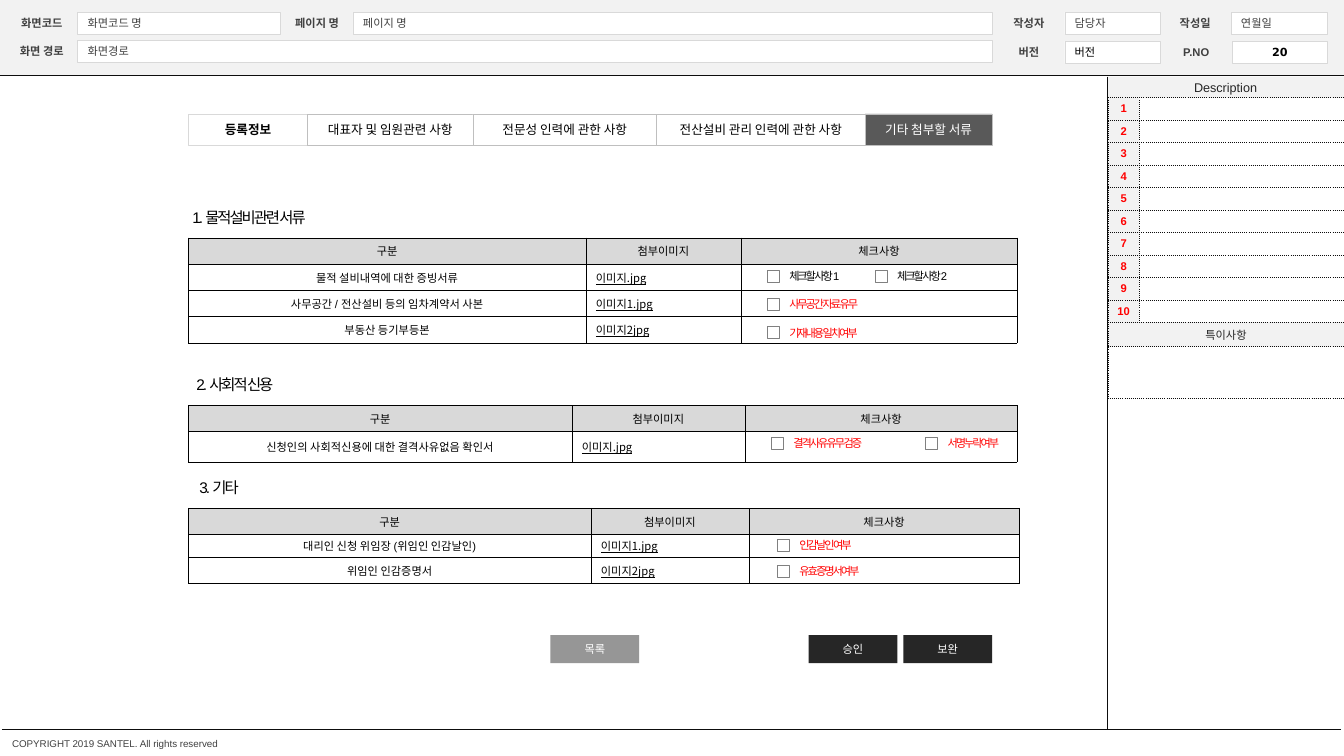
from itertools import accumulate

from lxml.etree import SubElement
from pptx import Presentation
from pptx.dml.color import RGBColor
from pptx.enum.dml import MSO_LINE
from pptx.enum.shapes import MSO_CONNECTOR, MSO_SHAPE
from pptx.enum.text import MSO_ANCHOR, PP_ALIGN
from pptx.oxml.ns import qn
from pptx.util import Inches, Pt

COLORS = {
    "black": "000000", "rule": "0D0D0D", "ink": "262626", "label": "404040",
    "tab": "595959", "check": "808080", "button": "969696", "edge": "BFBFBF",
    "field": "D9D9D9", "band": "F2F2F2", "white": "FFFFFF", "red": "FF0000",
}
LATIN, KOREAN, NUMBER = "Arial", "Noto Sans CJK KR", "DejaVu Sans"
LEFT, CENTER = PP_ALIGN.LEFT, PP_ALIGN.CENTER


def rgb(name):
    """Return the named colour."""
    return RGBColor.from_string(COLORS[name])


def write(frame, text, size=8, color="black", font=LATIN, align=CENTER,
          bold=False, underline=False, spacing=None):
    """Set one line of text in a frame and format its run."""
    frame.text = text
    paragraph = frame.paragraphs[0]
    paragraph.alignment = align
    run = paragraph.runs[0]
    run.font.size, run.font.name, run.font.bold = Pt(size), font, bold
    run.font.color.rgb = rgb(color)
    if underline:
        run.font.underline = True
    if spacing:
        run._r.get_or_add_rPr().set("spc", str(int(spacing * 100)))


def dress(shape, fill=None, edge=None, width=0.25):
    """Give a shape its fill and outline."""
    if fill:
        shape.fill.solid()
        shape.fill.fore_color.rgb = rgb(fill)
    else:
        shape.fill.background()
    if edge:
        shape.line.color.rgb = rgb(edge)
        shape.line.width = Pt(width)
    else:
        shape.line.fill.background()


def inset(frame, side=0.1):
    """Centre a frame vertically with side margins only."""
    frame.word_wrap = True
    frame.vertical_anchor = MSO_ANCHOR.MIDDLE
    frame.margin_left = frame.margin_right = Inches(side)
    frame.margin_top = frame.margin_bottom = 0


def add_box(slide, box, fill=None, edge=None, width=0.25, text="", side=0.1, **style):
    """Add a rectangle with optional text."""
    shape = slide.shapes.add_shape(MSO_SHAPE.RECTANGLE, *map(Inches, box))
    shape.shadow.inherit = False
    dress(shape, fill, edge, width)
    inset(shape.text_frame, side)
    if text:
        write(shape.text_frame, text, **style)


def add_label(slide, box, text, side=0.1, **style):
    """Add a plain text box."""
    frame = slide.shapes.add_textbox(*map(Inches, box)).text_frame
    inset(frame, side)
    write(frame, text, **style)


def add_rule(slide, *ends):
    """Add a dotted rule between two points."""
    rule = slide.shapes.add_connector(MSO_CONNECTOR.STRAIGHT, *map(Inches, ends))
    rule.line.color.rgb = rgb("rule")
    rule.line.width = Pt(0.25)
    rule.line.dash_style = MSO_LINE.ROUND_DOT
    SubElement(rule._element.spPr, qn("a:effectLst"))


def add_grid(slide, left, top, columns, rows):
    """Add an unstyled table with the given column widths and row heights."""
    box = map(Inches, (left, top, sum(columns), sum(rows)))
    table = slide.shapes.add_table(len(rows), len(columns), *box).table
    table.first_row = table.horz_banding = False
    for column, width in zip(table.columns, columns):
        column.width = Inches(width)
    for row, height in zip(table.rows, rows):
        row.height = Inches(height)
    return table


def format_cell(cell, fill, edge, width, dash, text="", indent=0.02, **style):
    """Fill, frame and write one table cell."""
    properties = cell._tc.get_or_add_tcPr()
    for side in ("a:lnL", "a:lnR", "a:lnT", "a:lnB"):
        border = SubElement(properties, qn(side), w=str(Pt(width)))
        paint = SubElement(border, qn("a:solidFill"))
        SubElement(paint, qn("a:srgbClr"), val=COLORS[edge])
        SubElement(border, qn("a:prstDash"), val=dash)
    cell.fill.solid()
    cell.fill.fore_color.rgb = rgb(fill)
    cell.vertical_anchor = MSO_ANCHOR.MIDDLE
    cell.margin_left = Inches(indent)
    cell.margin_right = cell.margin_top = cell.margin_bottom = Inches(0.02)
    if text:
        write(cell.text_frame, text, **style)
    else:
        SubElement(cell.text_frame.paragraphs[0]._p, qn("a:endParaRPr"), sz="800")


def add_header(slide, left, top, width, height):
    """Build the band with the screen's details, the page name being the title."""
    add_box(slide, (left, top, width, height), "band")
    fields = [
        (0.77, 0.12, 2.01, "화면코드", "화면코드 명"),
        (0.77, 0.4, 9.07, "화면 경로", "화면경로"),
        (3.5, 0.12, 6.34, "페이지 명", None),
        (10.56, 0.12, 0.95, "작성자", "담당자"),
        (12.21, 0.12, 0.95, "작성일", "연월일"),
        (10.56, 0.41, 0.95, "버전", "버전"),
        (12.22, 0.41, 0.95, "P.NO", "20"),
    ]
    for x, y, field_width, label, value in fields:
        box = (left + x, top + y, field_width, 0.22)
        add_label(slide, (left + x - 0.71, top + y, 0.71, 0.22), label, side=0,
                  color="label", bold=True)
        if value is None:
            title = slide.shapes.title
            title.left, title.top, title.width, title.height = map(Inches, box)
            dress(title, "white", "field")
            inset(title.text_frame)
            write(title.text_frame, label, color="label", align=LEFT)
            slide.shapes._spTree.append(title._element)
        elif value == "20":
            add_box(slide, box, "white", "field", 0.75, value, font=NUMBER, bold=True)
        else:
            color = "black" if value == "버전" else "label"
            add_box(slide, box, "white", "field", text=value, color=color, align=LEFT)
    add_rule(slide, left, top + height, left + width, top + height)


def add_description(slide, left, top, width, bottom):
    """Build the numbered description column."""
    add_box(slide, (left, top, width, 0.22), "band", text="Description", size=9, color="ink")
    add_rule(slide, left, top, left, bottom)
    add_rule(slide, left, top + 0.21, left + width, top + 0.21)
    heights = [0.223] * 10 + [0.24, 0.51]
    table = add_grid(slide, left + 0.01, top + 0.21, [0.31, width - 0.32], heights)
    frame = dict(edge="rule", width=0.5, dash="sysDot")
    for number in range(10):
        format_cell(table.cell(number, 0), "band", text=str(number + 1),
                    color="red", bold=True, **frame)
        format_cell(table.cell(number, 1), "white", **frame)
    for row, fill, text in ((10, "band", "특이사항"), (11, "white", "")):
        table.cell(row, 0).merge(table.cell(row, 1))
        format_cell(table.cell(row, 0), fill, text=text, color="ink", **frame)
        format_cell(table.cell(row, 1), fill, **frame)


def add_tabs(slide, left, top, height):
    """Build the row of tabs, the last one selected."""
    names = ["등록정보", "대표자 및 임원관련 사항", "전문성 인력에 관한 사항",
             "전산설비 관리 인력에 관한 사항", "기타 첨부할 서류"]
    widths = [1.18, 1.64, 1.82, 2.07, 1.26]
    for index, (name, width, end) in enumerate(zip(names, widths, accumulate(widths))):
        selected = index == len(names) - 1
        add_box(slide, (left + end - width, top, width, height),
                "tab" if selected else "white", "edge" if index else "field", text=name,
                size=9, font=KOREAN, color="white" if selected else "black", bold=index == 0)


def add_section(slide, left, top, heading, shift, columns, heights, documents, checks):
    """Build a heading, its document table and its check boxes."""
    add_label(slide, (left + shift, top - 0.35, 2.44, 0.29), heading, size=11,
              align=LEFT, spacing=-1.5)
    table = add_grid(slide, left, top, columns, heights)
    frame = dict(edge="black", width=0.25, dash="solid")
    for column, (name, font) in enumerate(
            (("구분", LATIN), ("첨부이미지", KOREAN), ("체크사항", KOREAN))):
        format_cell(table.cell(0, column), "field", text=name, font=font, **frame)
    for row, (document, image) in enumerate(documents, 1):
        format_cell(table.cell(row, 0), "white", text=document, **frame)
        format_cell(table.cell(row, 1), "white", text=image, indent=0.1,
                    font=KOREAN, align=LEFT, underline=True, **frame)
        format_cell(table.cell(row, 2), "white", **frame)
    for x, y, text, color in checks:
        add_box(slide, (left + x, top + y, 0.12, 0.12), "white", "check", 0.5)
        add_label(slide, (left + x + 0.12, top + y - 0.06, 1.2, 0.24), text,
                  color=color, align=LEFT, spacing=-1.5)


def add_buttons(slide, left, top):
    """Build the list, approve and supplement buttons."""
    for x, name, fill in ((0, "목록", "button"), (2.56, "승인", "ink"), (3.5, "보완", "ink")):
        add_box(slide, (left + x, top, 0.88, 0.28), fill, text=name, font=KOREAN, color="white")


def add_footer(slide, left, top, width):
    """Build the bottom rule and the copyright line."""
    add_rule(slide, left, top, left + width, top)
    add_label(slide, (left + 0.1, top + 0.09, 3.65, 0.12),
              "COPYRIGHT 2019 SANTEL. All rights reserved", side=0, size=7,
              color="label", align=LEFT)


def main():
    """Build the slide and save it."""
    deck = Presentation()
    deck.slide_width, deck.slide_height = Inches(13.33), Inches(7.5)
    slide = deck.slides.add_slide(deck.slide_layouts[5])
    add_header(slide, 0, 0, 13.33, 0.75)
    add_footer(slide, 0.02, 7.23, 13.27)
    add_description(slide, 10.98, 0.76, 2.35, 7.23)
    add_tabs(slide, 1.87, 1.13, 0.31)
    add_section(slide, 1.87, 2.36, "1. 물적설비관련 서류", -0.06, [3.94, 1.54, 2.74], [0.26] * 4,
                [("물적 설비내역에 대한 증빙서류", "이미지.jpg"),
                 ("사무공간 / 전산설비 등의 임차계약서 사본", "이미지1.jpg"),
                 ("부동산 등기부등본", "이미지2jpg")],
                [(5.74, 0.32, "체크할 사항1", "black"), (6.81, 0.32, "체크할 사항2", "black"),
                 (5.74, 0.6, "사무공간 자료 유무", "red"), (5.74, 0.88, "기재내용 일치여부", "red")])
    add_section(slide, 1.87, 4.02, "2. 사회적 신용", -0.02, [3.8, 1.72, 2.7], [0.26, 0.3],
                [("신청인의 사회적신용에 대한 결격사유없음 확인서", "이미지.jpg")],
                [(5.78, 0.32, "결격사유 유무 검증", "red"), (7.31, 0.32, "서명누락여부", "red")])
    add_section(slide, 1.87, 5.04, "3. 기타", 0.01, [3.99, 1.57, 2.68], [0.26, 0.23, 0.26],
                [("대리인 신청 위임장 (위임인 인감날인)", "이미지1.jpg"),
                 ("위임인 인감증명서", "이미지2jpg")],
                [(5.84, 0.31, "인감 날인 여부", "red"), (5.84, 0.57, "유효 증명서여부", "red")])
    add_buttons(slide, 5.46, 6.3)
    deck.save("out.pptx")


if __name__ == "__main__":
    main()
